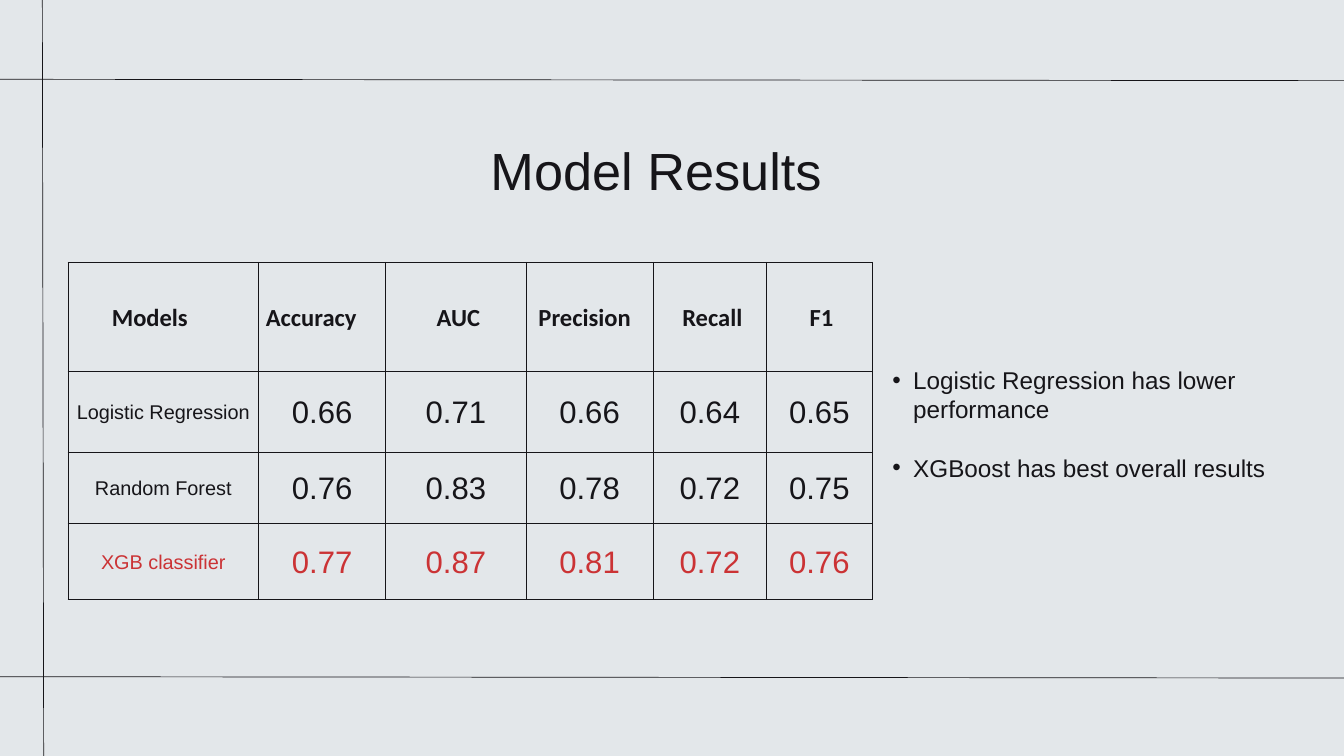
"""Build the Model Results slide: a metrics table with two takeaways."""
from pptx import Presentation
from pptx.dml.color import RGBColor
from pptx.enum.shapes import MSO_CONNECTOR
from pptx.enum.text import MSO_ANCHOR, MSO_AUTO_SIZE, PP_ALIGN
from pptx.oxml.ns import qn
from pptx.util import Inches, Pt
from lxml import etree

INK = RGBColor(0x16, 0x15, 0x19)
RED = RGBColor(0xCB, 0x33, 0x35)
PAPER = RGBColor(0xE3, 0xE7, 0xEA)
CENTER, LEFT, RIGHT = PP_ALIGN.CENTER, PP_ALIGN.LEFT, PP_ALIGN.RIGHT
TOP, MIDDLE = MSO_ANCHOR.TOP, MSO_ANCHOR.MIDDLE
STRAIGHT, NO_FIT = MSO_CONNECTOR.STRAIGHT, MSO_AUTO_SIZE.NONE

WIDTH, HEIGHT = 20, 11.25
TITLE = "Model Results"
HEADERS = [("Models", 1.25, 1.96), ("Accuracy", 3.62, 2.02),
           ("AUC", 5.81, 2.02), ("Precision", 7.83, 1.74),
           ("Recall", 9.73, 1.74), ("F1", 11.47, 1.51)]
RESULTS = [
    ("Logistic Regression", "0.66", "0.71", "0.66", "0.64", "0.65"),
    ("Random Forest", "0.76", "0.83", "0.78", "0.72", "0.75"),
    ("XGB classifier", "0.77", "0.87", "0.81", "0.72", "0.76"),
]
BEST = "XGB classifier"
TAKEAWAYS = ["Logistic Regression has lower performance",
             "XGBoost has best overall results"]
COLUMNS = [2.84, 1.89, 2.09, 1.89, 1.69, 1.57]
ROWS = [1.63, 1.2, 1.06, 1.13]
RULES = [(0.63, 0, 0.65, HEIGHT), (0, 1.18, WIDTH, 1.2),
         (0, 10.07, WIDTH, 10.09)]


def style(p, size, font="Arial", color=INK, align=CENTER, bold=False):
    p.alignment = align
    p.line_spacing = Pt(round(size * 1.2, 1))
    p.space_before = Pt(0)
    for r in p.runs:
        r.font.size, r.font.name, r.font.bold = Pt(size), font, bold
        r.font.color.rgb = color


def place(sp, left, top, width, height):
    sp.left, sp.top = Inches(left), Inches(top)
    sp.width, sp.height = Inches(width), Inches(height)
    tf = sp.text_frame
    tf.word_wrap, tf.auto_size, tf.vertical_anchor = True, NO_FIT, TOP
    tf.margin_left = tf.margin_right = tf.margin_top = tf.margin_bottom = 0
    return tf


def add_borders(cell):
    tcPr = cell._tc.get_or_add_tcPr()
    for side in ("a:lnL", "a:lnR", "a:lnT", "a:lnB"):
        ln = etree.SubElement(tcPr, qn(side), w=str(Pt(0.59)))
        fill = etree.SubElement(ln, qn("a:solidFill"))
        etree.SubElement(fill, qn("a:srgbClr"), val=str(INK))


def add_results(s):
    table = s.shapes.add_table(
        len(ROWS), len(COLUMNS), Inches(1.01), Inches(3.9),
        Inches(sum(COLUMNS)), Inches(sum(ROWS))).table
    table.first_row = table.horz_banding = False
    for column, width in zip(table.columns, COLUMNS):
        column.width = Inches(width)
    for row, height in zip(table.rows, ROWS):
        row.height = Inches(height)
    for cell in table.iter_cells():
        add_borders(cell)
        cell.fill.background()
        cell.vertical_anchor = MIDDLE
        cell.margin_left = cell.margin_right = Inches(0.08)
        cell.margin_top = cell.margin_bottom = Inches(0.08)
    for i, result in enumerate(RESULTS, 1):
        color = RED if result[0] == BEST else INK
        for j, text in enumerate(result):
            p = table.cell(i, j).text_frame.paragraphs[0]
            p.text = text
            style(p, 33.3 if j else 21.3, color=color)
    for text, left, width in HEADERS:
        tf = place(s.shapes.add_textbox(0, 0, 0, 0), left, 4.49, width, 0.44)
        tf.text = text
        style(tf.paragraphs[0], 26.3, "Calibri", bold=True)


def add_takeaways(body):
    tf = place(body, 12.98, 5.44, 6.61, 2.16)
    tf.text = "\n".join(TAKEAWAYS)
    for i, p in enumerate(tf.paragraphs):
        pPr = p._p.get_or_add_pPr()
        pPr.set("marL", str(Inches(0.61)))
        pPr.set("indent", str(Inches(-0.31)))
        etree.SubElement(pPr, qn("a:buChar"), char="•")
        style(p, 26, align=LEFT)
        p.space_before = Pt(31.2 if i else 0)


def add_rule(s, ends):
    line = s.shapes.add_connector(STRAIGHT, *(Inches(v) for v in ends))
    line.line.color.rgb = INK
    line.line.width = Pt(0.75)
    etree.SubElement(line._element.spPr, qn("a:effectLst"))


def main():
    prs = Presentation()
    prs.slide_width, prs.slide_height = Inches(WIDTH), Inches(HEIGHT)
    s = prs.slides.add_slide(prs.slide_layouts[1])
    s.background.fill.solid()
    s.background.fill.fore_color.rgb = PAPER
    add_results(s)
    tf = place(s.shapes.title, 7.25, 2.05, 4.98, 0.97)
    tf.text = TITLE
    style(tf.paragraphs[0], 56, align=RIGHT)
    add_takeaways(s.placeholders[1])
    for ends in RULES:
        add_rule(s, ends)
    prs.save("out.pptx")


if __name__ == "__main__":
    main()
